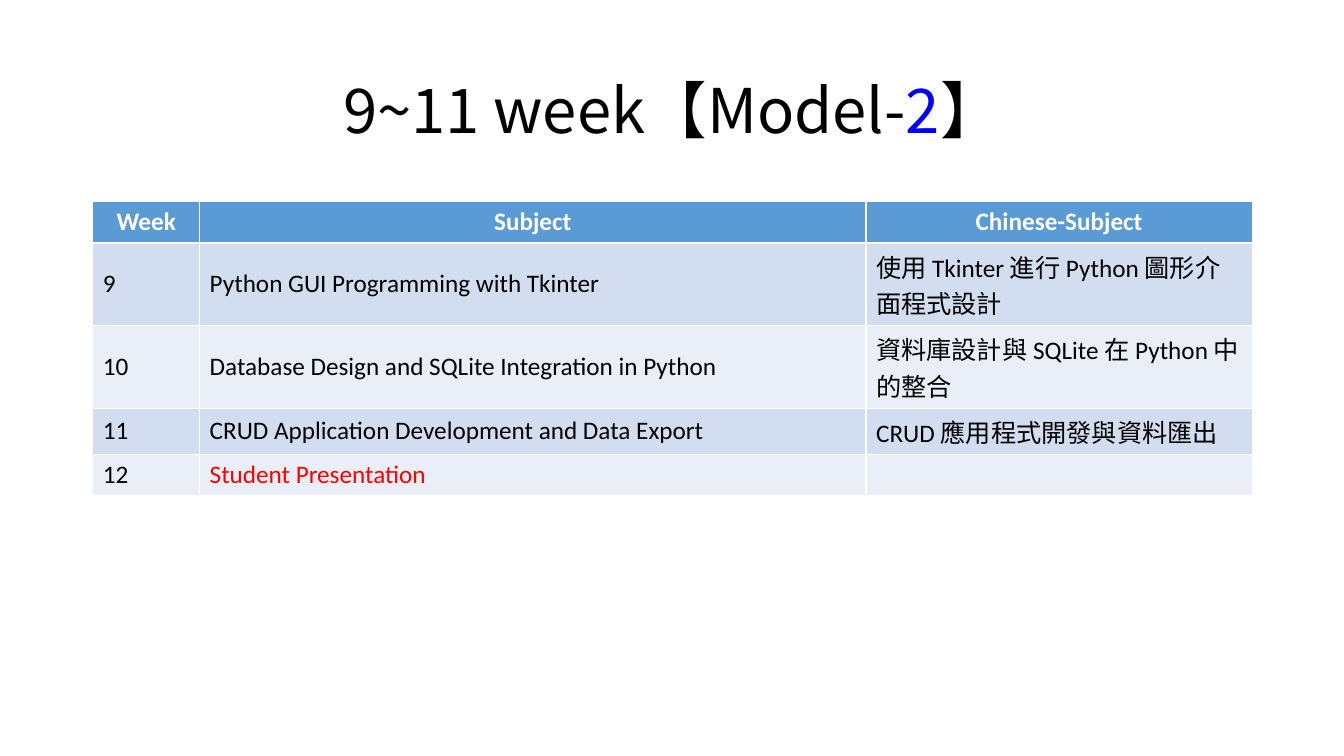
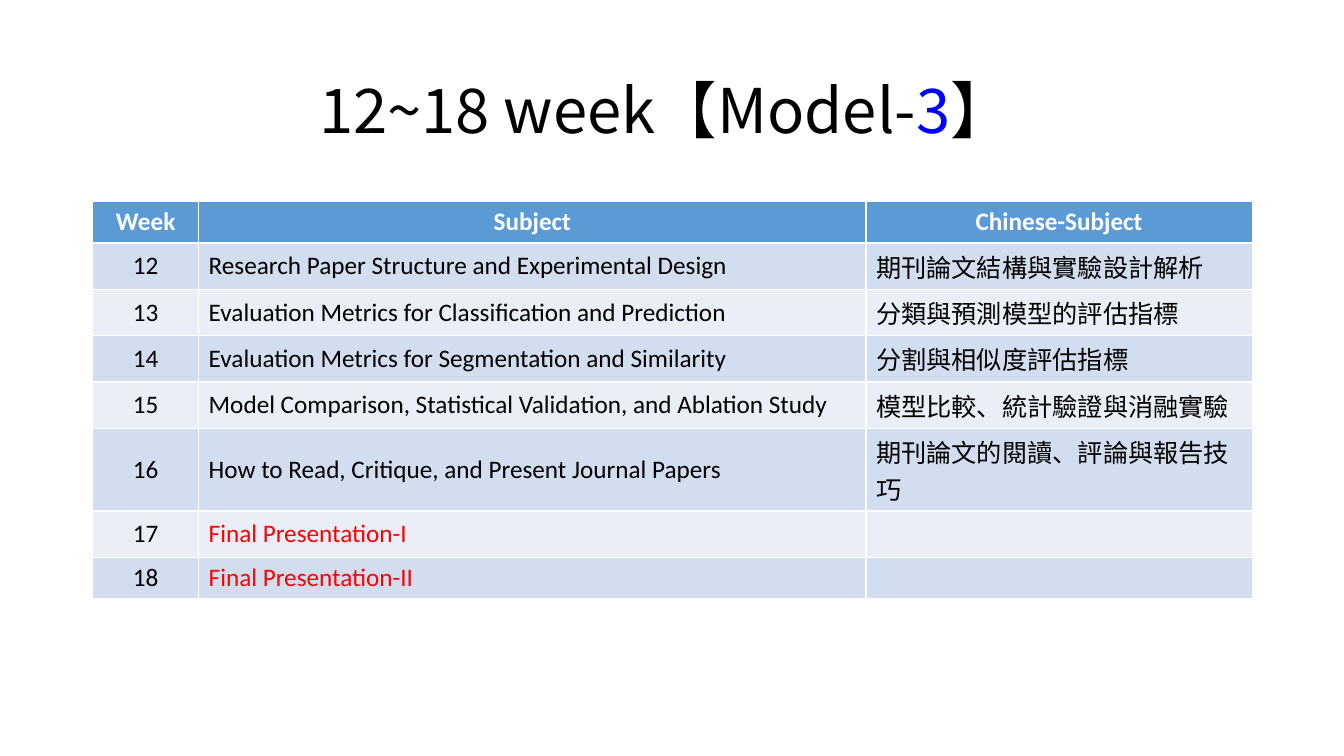
from pptx import Presentation
from pptx.dml.color import RGBColor
from pptx.enum.text import MSO_ANCHOR, PP_ALIGN
from pptx.util import Inches, Pt

COLORS = {
    "header": "5B9BD5",
    "odd_row": "D2DEEF",
    "even_row": "EAEFF7",
    "white": "FFFFFF",
    "text": "000000",
    "model": "0000FF",
    "presentation": "FF0000",
}
TITLE_FONT = "Noto Sans CJK SC"
TABLE_FONT = "Calibri"
SLIDE_SIZE = (13.33, 7.5)
TITLE_BOX = (0.92, 0.4, 11.5, 1.45)
TABLE_BOX = (0.92, 2, 11.5)
CHINESE_WIDTH = 3.83
PLAIN_ROW, CHINESE_ROW, WRAPPED_ROW = 0.41, 0.46, 0.82
HEADINGS = ("Week", "Subject", "Chinese-Subject")

SCHEDULES = [
    {
        "title": ("9~11 week【Model-", "2", "】"),
        "week_width": 1.06,
        "week_align": PP_ALIGN.LEFT,
        "rows": [
            (WRAPPED_ROW, "9", "Python GUI Programming with Tkinter",
             "使用 Tkinter 進行 Python 圖形介面程式設計"),
            (WRAPPED_ROW, "10", "Database Design and SQLite Integration in Python",
             "資料庫設計與 SQLite 在 Python 中的整合"),
            (CHINESE_ROW, "11", "CRUD Application Development and Data Export",
             "CRUD 應用程式開發與資料匯出"),
            (PLAIN_ROW, "12", "Student Presentation", ""),
        ],
    },
    {
        "title": ("12~18 week【Model-", "3", "】 "),
        "week_width": 1.05,
        "week_align": PP_ALIGN.CENTER,
        "rows": [
            (CHINESE_ROW, "12", "Research Paper Structure and Experimental Design",
             "期刊論文結構與實驗設計解析"),
            (CHINESE_ROW, "13", "Evaluation Metrics for Classification and Prediction",
             "分類與預測模型的評估指標"),
            (CHINESE_ROW, "14", "Evaluation Metrics for Segmentation and Similarity",
             "分割與相似度評估指標"),
            (CHINESE_ROW, "15", "Model Comparison, Statistical Validation, and Ablation Study",
             "模型比較、統計驗證與消融實驗"),
            (WRAPPED_ROW, "16", "How to Read, Critique, and Present Journal Papers",
             "期刊論文的閱讀、評論與報告技巧"),
            (CHINESE_ROW, "17", "Final Presentation-I", ""),
            (PLAIN_ROW, "18", "Final Presentation-II", ""),
        ],
    },
]


def color(name):
    """Return the named palette colour."""
    return RGBColor.from_string(COLORS[name])


def add_title(slide, box, parts):
    """Place a centred title whose middle part is the model number."""
    frame = slide.shapes.add_textbox(*map(Inches, box)).text_frame
    frame.word_wrap = True
    frame.vertical_anchor = MSO_ANCHOR.MIDDLE
    paragraph = frame.paragraphs[0]
    paragraph.alignment = PP_ALIGN.CENTER
    paragraph.line_spacing = 0.9
    paragraph.font.size = Pt(44)
    paragraph.font.name = TITLE_FONT
    for text, color_name in zip(parts, ("text", "model", "text")):
        run = paragraph.add_run()
        run.text = text
        run.font.color.rgb = color(color_name)


def fill_cell(cell, text, fill, text_color, align, bold=False):
    """Write one table cell with its fill and text style."""
    cell.fill.solid()
    cell.fill.fore_color.rgb = color(fill)
    cell.vertical_anchor = MSO_ANCHOR.TOP if bold else MSO_ANCHOR.MIDDLE
    cell.text = text
    paragraph = cell.text_frame.paragraphs[0]
    paragraph.alignment = align
    paragraph.font.name = TABLE_FONT
    paragraph.font.size = Pt(18)
    paragraph.font.bold = bold
    paragraph.font.color.rgb = color(text_color)


def add_schedule(slide, box, week_width, week_align, rows):
    """Place the week table in the box, one row for each week."""
    left, top, width = box
    heights = [PLAIN_ROW] + [row[0] for row in rows]
    table = slide.shapes.add_table(
        len(heights), len(HEADINGS),
        *map(Inches, (left, top, width, sum(heights)))).table
    subject_width = width - week_width - CHINESE_WIDTH
    for column, size in zip(table.columns, (week_width, subject_width, CHINESE_WIDTH)):
        column.width = Inches(size)
    for row, height in zip(table.rows, heights):
        row.height = Inches(height)

    for cell, heading in zip(table.rows[0].cells, HEADINGS):
        fill_cell(cell, heading, "header", "white", PP_ALIGN.CENTER, bold=True)
    aligns = (week_align, PP_ALIGN.LEFT, PP_ALIGN.LEFT)
    for number, (_, week, subject, chinese) in enumerate(rows, start=1):
        fill = "odd_row" if number % 2 else "even_row"
        subject_color = "text" if chinese else "presentation"
        for cell, text, text_color, align in zip(
                table.rows[number].cells, (week, subject, chinese),
                ("text", subject_color, "text"), aligns):
            fill_cell(cell, text, fill, text_color, align)


def add_schedule_slide(presentation, schedule):
    """Add a slide with a title above its week table."""
    slide = presentation.slides.add_slide(presentation.slide_layouts[6])
    add_title(slide, TITLE_BOX, schedule["title"])
    add_schedule(slide, TABLE_BOX, schedule["week_width"],
                 schedule["week_align"], schedule["rows"])


def main():
    """Build and save the presentation."""
    presentation = Presentation()
    presentation.slide_width, presentation.slide_height = map(Inches, SLIDE_SIZE)
    for schedule in SCHEDULES:
        add_schedule_slide(presentation, schedule)
    presentation.save("out.pptx")


if __name__ == "__main__":
    main()
